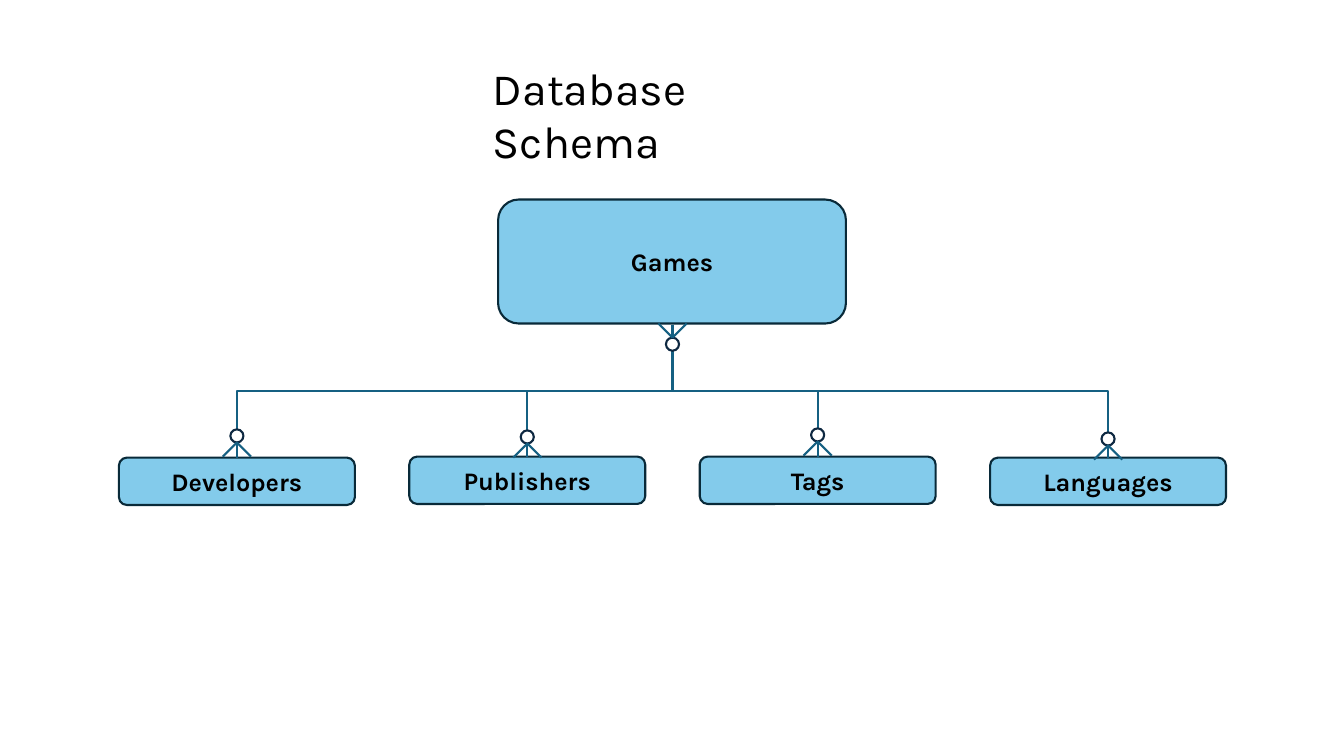
"""Draw a database schema slide with one parent table and four linked tables."""
from pptx import Presentation
from pptx.dml.color import RGBColor as Rgb
from pptx.enum.shapes import MSO_CONNECTOR as Link, MSO_SHAPE as Shape
from pptx.enum.text import MSO_ANCHOR as Anchor, PP_ALIGN as Align
from pptx.oxml.ns import qn
from pptx.util import Inches, Pt

TITLE = "Database Schema"
PARENT = "Games"
TABLES = [
    ("Developers", 4.54, 4.26),
    ("Publishers", 4.53, 4.27),
    ("Tags", 4.53, 4.25),
    ("Languages", 4.54, 4.29),
]
COLORS = {"box": "83CBEB", "edge": "092A39", "line": "156082",
          "ring": "0E2841", "white": "FFFFFF", "text": "000000"}
FONT = "Karla"
MID, BASE = 6.67, 3.22
LEFT, STEP = 1.18, 2.88
WIDE, HIGH = 2.34, 0.47
RING, TOE = 0.13, 0.14

deck = Presentation()
deck.slide_width, deck.slide_height = Inches(13.33), Inches(7.5)
slide = deck.slides.add_slide(deck.slide_layouts[6])
shapes = slide.shapes


def color(name):
    return Rgb.from_string(COLORS[name])


def write(frame, text, size, bold=False):
    run = frame.paragraphs[0].add_run()
    run.text = text
    run.font.name, run.font.size, run.font.bold = FONT, Pt(size), bold
    run.font.color.rgb = color("text")


def draw(kind, x, y, w, h, fill, edge):
    shape = shapes.add_shape(kind, Inches(x), Inches(y), Inches(w), Inches(h))
    shape.shadow.inherit = False
    shape.fill.solid()
    shape.fill.fore_color.rgb = color(fill)
    shape.line.color.rgb = color(edge)
    shape.line.width = Pt(1.5)
    return shape


def box(text, x, y, w, h):
    frame = draw(Shape.ROUNDED_RECTANGLE, x, y, w, h, "box", "edge").text_frame
    frame.vertical_anchor = Anchor.MIDDLE
    frame.paragraphs[0].alignment = Align.CENTER
    write(frame, text, 18, True)


def join(kind, x1, y1, x2, y2):
    line = shapes.add_connector(kind, Inches(x1), Inches(y1), Inches(x2), Inches(y2))
    line.line.color.rgb = color("line")
    line.line.width = Pt(1.5)
    props = line._element.spPr
    props.append(props.makeelement(qn("a:effectLst"), {}))
    return props.find(qn("a:xfrm"))


def branch(x, y):
    drop, span = y - BASE, abs(x - MID)
    cx, cy = (x + MID) / 2, (y + BASE) / 2
    frame = join(Link.ELBOW, cx - drop / 2, cy - span / 2, cx + drop / 2, cy + span / 2)
    frame.set("rot", str((90 if x < MID else 270) * 60000))
    if x > MID:
        frame.set("flipH", "1")


def foot(x, top, tip, end):
    draw(Shape.OVAL, x - RING / 2, top, RING, RING, "white", "ring")
    for side in (-TOE, TOE):
        join(Link.STRAIGHT, x, tip, x + side, end)


title = shapes.add_textbox(Inches(4.79), Inches(0.55), Inches(3.76), Inches(0.64))
title.text_frame.word_wrap = True
write(title.text_frame, TITLE, 32)

box(PARENT, 4.94, 1.98, 3.45, 1.23)
for i, (name, y, _) in enumerate(TABLES):
    box(name, LEFT + i * STEP, y, WIDE, HIGH)

centers = [LEFT + WIDE / 2 + i * STEP for i in range(len(TABLES))]
for x, (_, y, _) in zip(centers, TABLES):
    branch(x, y)
for x, (_, _, top) in zip(centers, TABLES):
    foot(x, top, top + RING, top + RING + TOE)
foot(MID, 3.35, 3.35, 3.35 - TOE)

deck.save("out.pptx")
